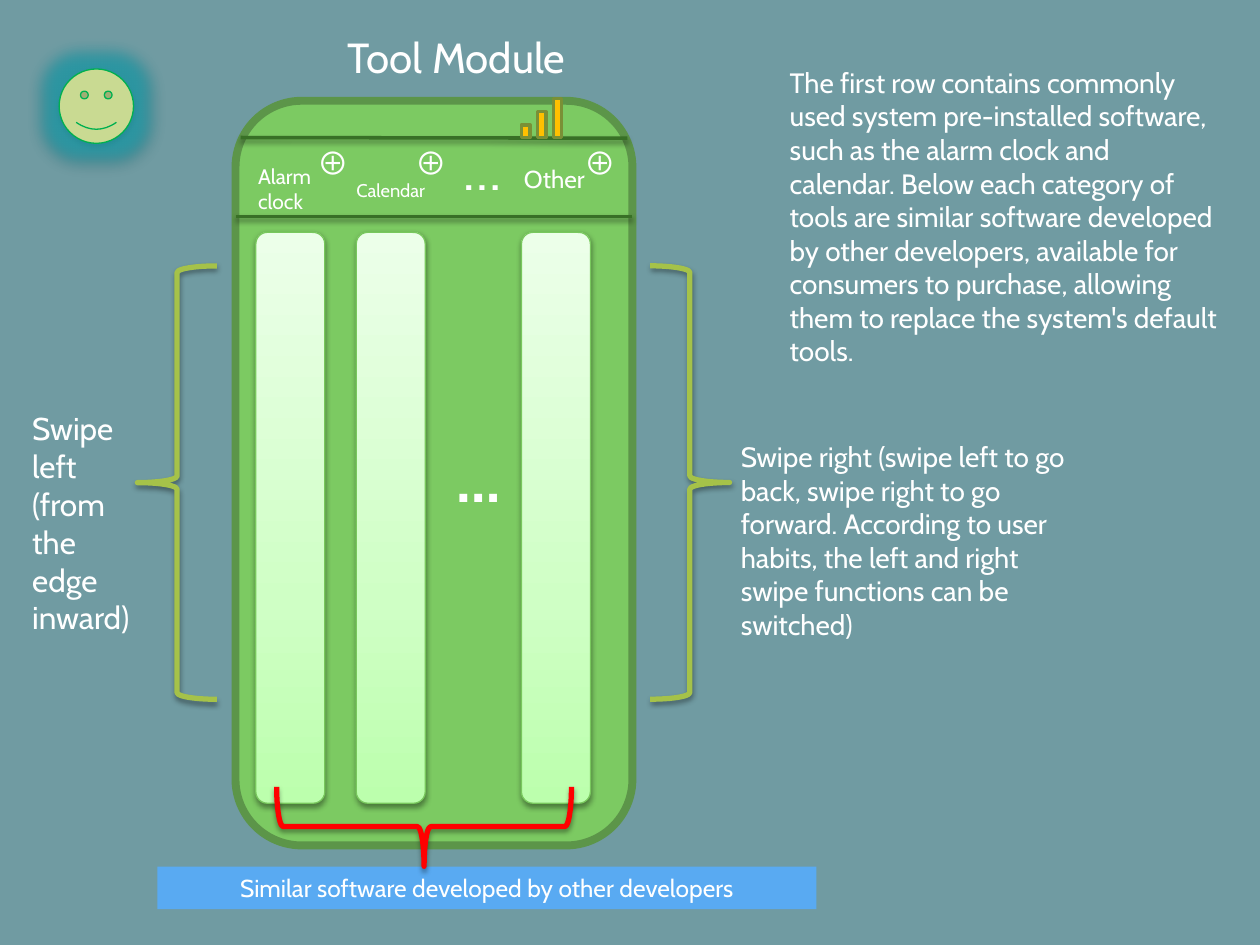
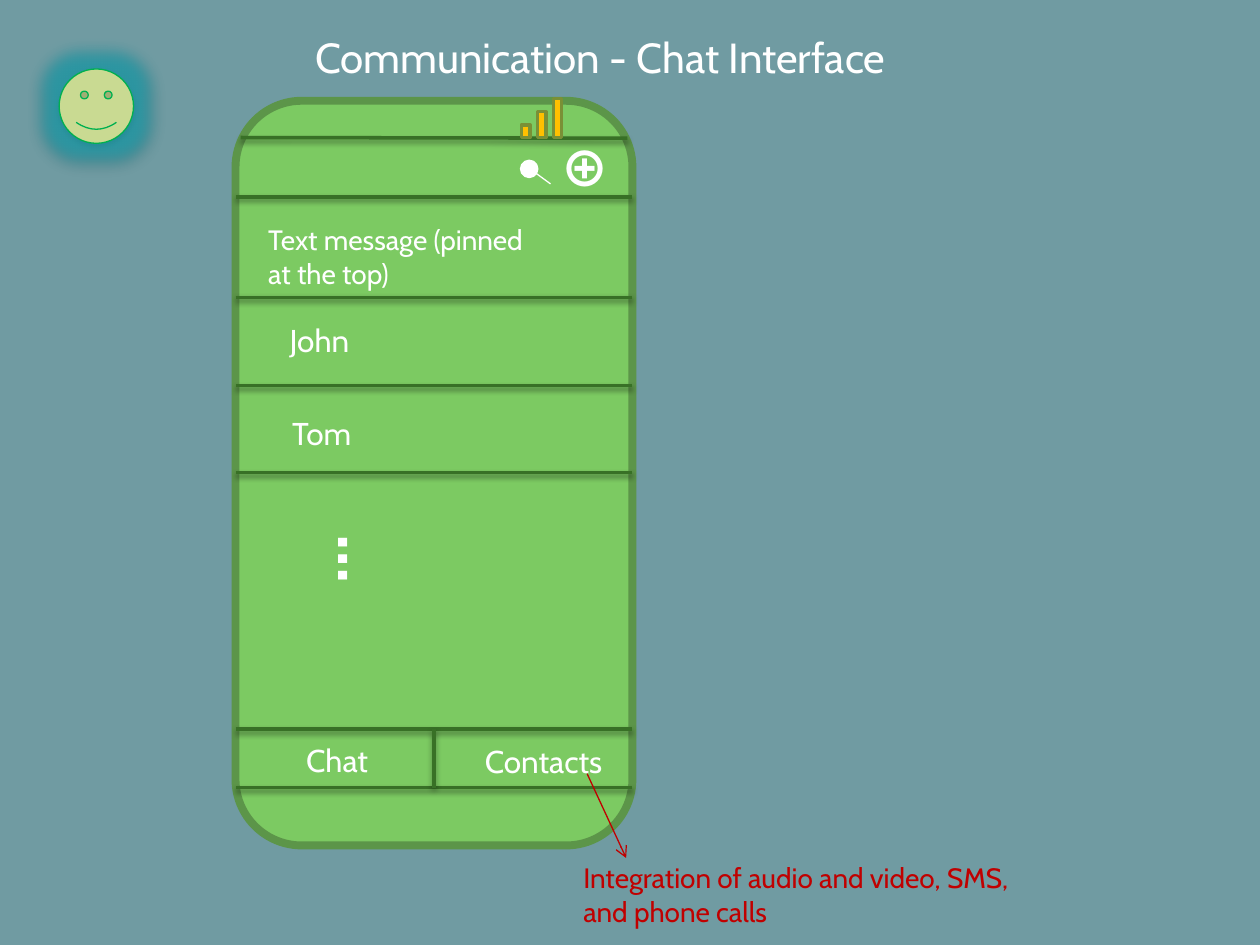
import lxml.etree
import pptx
import pptx.dml.color
import pptx.enum.shapes
import pptx.enum.text
import pptx.oxml.ns
import pptx.util

Pt = pptx.util.Pt
SHAPE = pptx.enum.shapes.MSO_SHAPE
ALIGN = pptx.enum.text.PP_ALIGN
qn = pptx.oxml.ns.qn

WHITE, RED, DARK_RED = "FFFFFF", "FF0000", "C00000"
BACKGROUND = "709BA2"
PHONE, PHONE_EDGE, DIVIDER = "7CCA62", "5C9549", "387026"
BRACE = "A5C249"
BAR, BAR_EDGE = "FFC000", "7A9036"
COLUMN_EDGE = "78C85D"
COLUMN_STOPS = [(0, "BCFFAD"), (35, "CFFFC5"), (100, "ECFFE9")]
SYMBOL_FONT = "Noto Sans CJK SC"

PHONE_LEFT, PHONE_TOP, PHONE_WIDTH, PHONE_HEIGHT = 134.6, 57.6, 226.8, 425.5
PHONE_RIGHT = PHONE_LEFT + PHONE_WIDTH


def rgb(value):
    return pptx.dml.color.RGBColor.from_string(value)


def add_xml(parent, tag, **attributes):
    """Append a DrawingML child and return it."""
    texts = {name: str(value) for name, value in attributes.items()}
    return lxml.etree.SubElement(parent, qn(f"a:{tag}"), texts)


class Deck:
    """Holds the shared style and the slide being drawn."""

    def __init__(self, prs, font="Cabin"):
        self.prs = prs
        self.font = font
        self.s = None

    def new_slide(self):
        self.s = self.prs.slides.add_slide(self.prs.slide_layouts[6])
        self.s.background.fill.solid()
        self.s.background.fill.fore_color.rgb = rgb(BACKGROUND)

    def effects(self, sp, shadow=None, glow=None):
        """Set the effects: shadow is (opacity, distance), glow (colour, radius)."""
        spPr = sp._element.spPr
        effects = spPr.find(qn("a:effectLst"))
        if effects is None:
            effects = add_xml(spPr, "effectLst")
        if glow:
            color, radius = glow
            outer = add_xml(effects, "glow", rad=Pt(radius))
            add_xml(add_xml(outer, "srgbClr", val=color), "alpha", val=60000)
        if shadow:
            opacity, distance = shadow
            outer = add_xml(effects, "outerShdw", blurRad=Pt(3.1),
                            dist=Pt(distance), dir=5400000, rotWithShape=0)
            add_xml(add_xml(outer, "srgbClr", val="000000"), "alpha", val=opacity * 1000)

    def shape(self, kind, left, top, width, height, fill=None, line=None,
              weight=0.75, shadow=None, glow=None, rotation=0):
        sp = self.s.shapes.add_shape(kind, Pt(left), Pt(top), Pt(width), Pt(height))
        sp.rotation = rotation
        if fill:
            sp.fill.solid()
            sp.fill.fore_color.rgb = rgb(fill)
        else:
            sp.fill.background()
        if line:
            sp.line.color.rgb = rgb(line)
            sp.line.width = Pt(weight)
        else:
            sp.line.fill.background()
        sp.shadow.inherit = False
        self.effects(sp, shadow, glow)
        return sp

    def line(self, x1, y1, x2, y2, color=DIVIDER, weight=2, shadow=(38, 1.6), arrow=False):
        sp = self.s.shapes.add_connector(
            pptx.enum.shapes.MSO_CONNECTOR.STRAIGHT, Pt(x1), Pt(y1), Pt(x2), Pt(y2))
        sp.line.color.rgb = rgb(color)
        sp.line.width = Pt(weight)
        if arrow:
            ln = sp._element.spPr.find(qn("a:ln"))
            add_xml(ln, "tailEnd", type="arrow")
        self.effects(sp, shadow)

    def set_text(self, sp, text, size, color=WHITE, align=ALIGN.LEFT, bold=False, font=None):
        tf = sp.text_frame
        tf.text = text
        tf.word_wrap = True
        tf.auto_size = pptx.enum.text.MSO_AUTO_SIZE.SHAPE_TO_FIT_TEXT
        tf.vertical_anchor = pptx.enum.text.MSO_ANCHOR.TOP
        p = tf.paragraphs[0]
        p.alignment = align
        r = p.runs[0]
        r.font.name = font or self.font
        r.font.size = Pt(size)
        r.font.bold = bold
        r.font.color.rgb = rgb(color)
        add_xml(r._r.get_or_add_rPr(), "ea", typeface=font or self.font)

    def text(self, text, left, top, width, height, size, **style):
        sp = self.s.shapes.add_textbox(Pt(left), Pt(top), Pt(width), Pt(height))
        self.set_text(sp, text, size, **style)
        return sp

    def title(self, text, left, width, align=ALIGN.LEFT):
        self.text(text, left, 14.4, width, 36, 24, align=align)

    def divider(self, y):
        self.line(PHONE_LEFT, y, PHONE_RIGHT, y)

    def brace(self, left, top, width, height, rotation=0, color=BRACE):
        self.shape(SHAPE.RIGHT_BRACE, left, top, width, height, line=color,
                   weight=3, shadow=(38, 1.6), rotation=rotation)

    def column(self, left):
        """Draw a tall rounded bar with a vertical gradient."""
        sp = self.shape(SHAPE.ROUNDED_RECTANGLE, left, 132.8, 39.4, 326.2,
                        line=COLUMN_EDGE, shadow=(38, 1.6))
        sp.fill.gradient()
        sp.fill.gradient_angle = 90
        stops = sp._element.spPr.find(".//" + qn("a:gsLst"))
        for stop in list(stops):
            stops.remove(stop)
        for position, color in COLUMN_STOPS:
            add_xml(add_xml(stops, "gs", pos=position * 1000), "srgbClr", val=color)

    def phone(self):
        self.shape(SHAPE.ROUNDED_RECTANGLE, PHONE_LEFT, PHONE_TOP, PHONE_WIDTH,
                   PHONE_HEIGHT, fill=PHONE, line=PHONE_EDGE, weight=4.5)
        self.line(PHONE_LEFT + 2.9, 78.6, PHONE_RIGHT - 2.9, 79)

    def signal_and_smiley(self):
        base = 78.7
        for i, height in enumerate((7.4, 14.9, 22.5)):
            self.shape(SHAPE.RECTANGLE, 298 + 9.1 * i, base - height, 4.8, height,
                       fill=BAR, line=BAR_EDGE, weight=2)
        self.shape(SHAPE.SMILEY_FACE, 33.8, 39.4, 42.5, 42.5, fill="C9DA92",
                   line="00B050", shadow=(35, 1.8), glow=("10A8B8", 18))


def tool_module(deck):
    deck.new_slide()
    deck.phone()
    deck.text("The first row contains commonly used system pre-installed software, "
              "such as the alarm clock and calendar. Below each category of tools are "
              "similar software developed by other developers, available for consumers "
              "to purchase, allowing them to replace the system's default tools.",
              444.2, 33.8, 258.5, 201, 16)
    deck.brace(78.5, 151.9, 45.4, 247.7, rotation=180)
    deck.brace(371.5, 151.9, 45.4, 247.7)
    deck.text("Swipe left (from the edge inward)", 11.3, 230.4, 78.5, 138, 18)
    deck.text("Swipe right (swipe left to go back, swipe right to go forward. "
              "According to user habits, the left and right swipe functions can be "
              "switched)", 416.2, 247.7, 202.3, 124, 16)
    deck.divider(123.8)
    for label, left, top, height, size in [("Alarm clock", 140.4, 90, 36, 12),
                                           ("Calendar", 196.6, 98.6, 20, 10.5),
                                           ("Other", 292.3, 90, 24.5, 14)]:
        deck.text(label, left, top, 56.2, height, size)
    deck.text("…", 247.7, 73.4, 56.2, 46, 32, align=ALIGN.CENTER)
    for left in (174.2, 230.4, 327):
        deck.text("⊕", left, 79, 33.8, 28.8, 18, font=SYMBOL_FONT)
    for left in (146.2, 203.6, 298):
        deck.column(left)
    deck.text("…", 245.5, 247.7, 56.2, 51, 36, align=ALIGN.CENTER, bold=True)
    banner = deck.shape(SHAPE.RECTANGLE, 90, 495.2, 376.6, 24.3, fill="59AAF2")
    deck.set_text(banner, "Similar software developed by other developers", 14,
                  align=ALIGN.CENTER)
    deck.title("Tool Module", 191.5, 163.4)
    deck.signal_and_smiley()
    deck.brace(219.6, 388.1, 45.4, 168.5, rotation=90, color=RED)


def chat_interface(deck):
    deck.new_slide()
    deck.phone()
    deck.title("Communication - Chat Interface", 140.4, 405.4, ALIGN.CENTER)
    for y in (112.5, 169.9, 220.3, 270, 416.7, 450):
        deck.divider(y)
    middle = PHONE_LEFT + PHONE_WIDTH / 2
    deck.line(middle, 416.7, middle, 450)
    for label, left, top, width in [("Chat", 167.8, 419.8, 66.2),
                                    ("Contacts", 270, 420.5, 101.5),
                                    ("John", 158.4, 180, 77.8),
                                    ("Tom", 159.8, 233.3, 77.8)]:
        deck.text(label, left, top, width, 28.8, 18)
    deck.line(335.5, 442.1, 357.8, 490.3, DARK_RED, 0.75, shadow=None, arrow=True)
    deck.text("Integration of audio and video, SMS, and phone calls",
              326.2, 488.2, 281.5, 46, 16, color=DARK_RED)
    deck.text("Text message (pinned at the top)", 146.2, 123.8, 175, 46, 16)
    dots = deck.text("…", 173.5, 298.1, 63.4, 28.8, 40, bold=True)
    dots._element.txBody.find(qn("a:bodyPr")).set("vert", "eaVert")
    deck.text("⊕", 313.2, 75.6, 49.7, 41, 28, bold=True, font=SYMBOL_FONT)
    deck.shape(SHAPE.OVAL, 298.1, 92.2, 8.6, 8.6, fill=WHITE, line=WHITE, weight=2)
    deck.line(303.8, 97.2, 314.6, 105.1, WHITE, 0.75, shadow=None)
    deck.signal_and_smiley()


def main():
    prs = pptx.Presentation()
    prs.slide_width, prs.slide_height = Pt(720), Pt(540)
    deck = Deck(prs)
    tool_module(deck)
    chat_interface(deck)
    prs.save("out.pptx")


if __name__ == "__main__":
    main()
